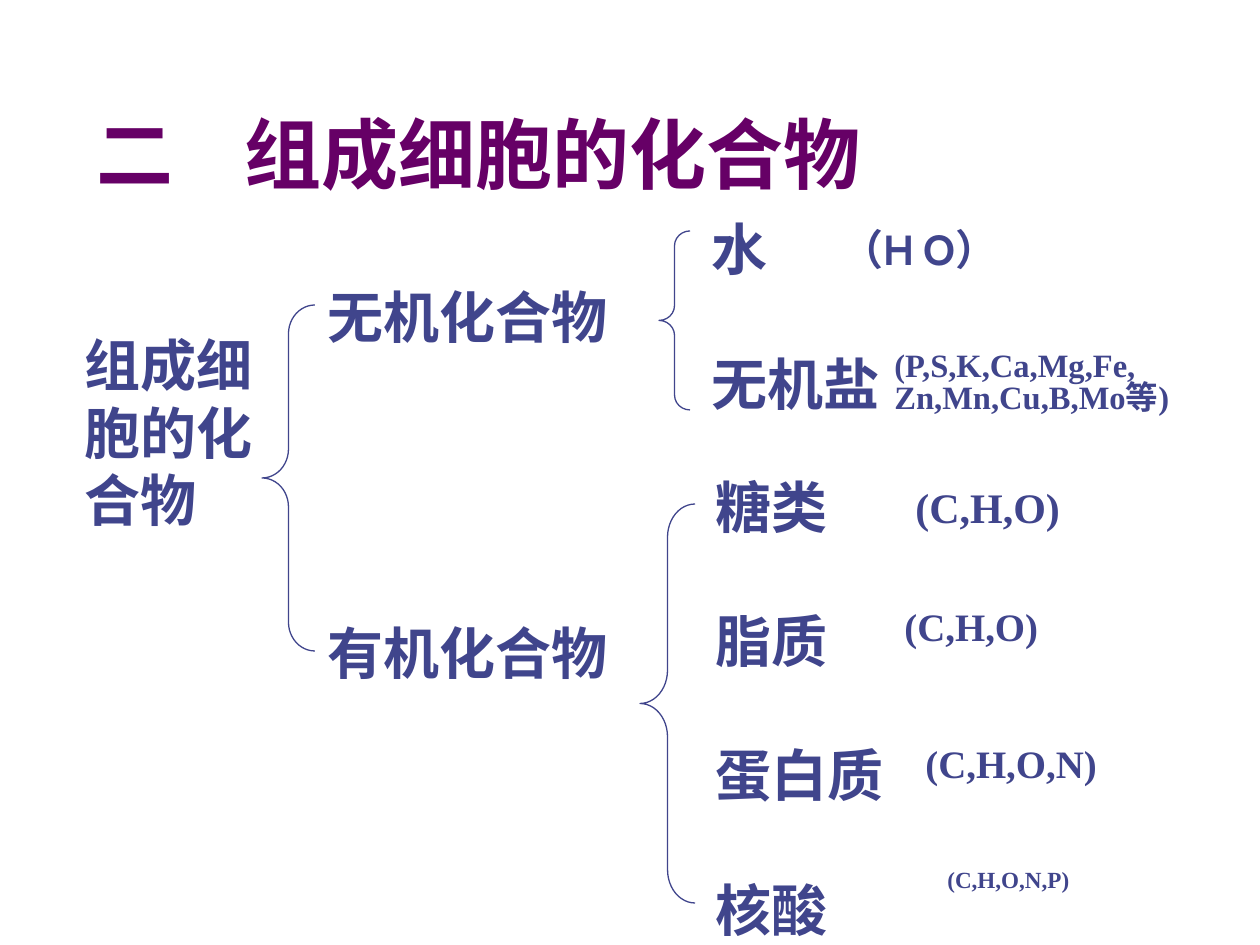
"""Builds a slide that classifies the compounds making up a cell."""
from pptx import Presentation
from pptx import util as u
from pptx.dml import color
from pptx.enum import shapes, text
from pptx.oxml import ns
from lxml import etree

PX = 914400 / 126
COLORS = {"title": "660066", "ink": "40458C", "paper": "FFFFFF"}
CJK, SANS, SERIF, HEAD = "Noto Sans CJK SC", "Arial", "Times New Roman", "Cabin"
LINE = 38.4

TITLE = ("二\t组成细胞的化合物", (84, 42, 1071, 157), 148)
# Each list: box, items, blank lines between items
LISTS = [
    ((72, 321, 212, 214), ["组成细胞的化合物"], 0),
    ((315, 273, 336, 416), ["无机化合物", "有机化合物"], 4),
    ((699, 205, 193, 214), ["水", "无机盐"], 1),
    ((703, 462, 194, 484), ["糖类", "脂质", "蛋白质", "核酸"], 1),
]
BRACES = [(262, 305, 53, 346), (659, 231, 31, 179), (640, 504, 55, 399)]
WATER = ((829, 214, 217, 63), [("（", CJK), ("H O", HEAD), ("）", CJK)])
SALTS = ((882, 346, 420, 95), ["(P,S,K,Ca,Mg,Fe,", "Zn,Mn,Cu,B,Mo等)"])
FORMULAS = [
    ((903, 472, 262, 73), "(C,H,O)", 24, 1.0),
    ((892, 598, 273, 63), "(C,H,O)", 22.2, 0.9),
    ((913, 735, 221, 63), "(C,H,O,N)", 22.2, 0.9),
    ((935, 861, 262, 42), "(C,H,O,N,P)", 13.2, 0.8),
]


def px(n):
    return u.Emu(round(n * PX))


def rgb(name):
    return color.RGBColor.from_string(COLORS[name])


def add_run(p, words, size, font, ink="ink"):
    r = p.add_run()
    r.text = words
    r.font.size, r.font.bold, r.font.name = u.Pt(size), True, font
    r.font.color.rgb = rgb(ink)
    etree.SubElement(r.font._element, ns.qn("a:ea"), typeface=CJK)


def set_frame(sp, wrap=True, top=10, bottom=6, anchor=text.MSO_ANCHOR.TOP):
    tf = sp.text_frame
    tf.auto_size, tf.word_wrap = text.MSO_AUTO_SIZE.NONE, wrap
    tf.vertical_anchor = anchor
    tf.margin_left = tf.margin_right = u.Inches(0.1)
    tf.margin_top, tf.margin_bottom = px(top), px(bottom)
    return tf


def add_lines(tf, lines, size, font, spacing, gap=0, align=text.PP_ALIGN.LEFT):
    for i, words in enumerate(lines):
        p = tf.add_paragraph() if i else tf.paragraphs[0]
        p.alignment, p.line_spacing = align, spacing
        p.space_before = u.Pt(gap if i else 0)
        add_run(p, words, size, font)


def add_box(s, box, **frame):
    return set_frame(s.shapes.add_textbox(*map(px, box)), **frame)


def add_title(s):
    words, box, stop = TITLE
    sp = s.shapes.title
    sp.left, sp.top, sp.width, sp.height = map(px, box)
    tf = set_frame(sp, top=6, bottom=0, anchor=text.MSO_ANCHOR.BOTTOM)
    p = tf.paragraphs[0]
    p.alignment = text.PP_ALIGN.LEFT
    tabs = etree.SubElement(p._p.get_or_add_pPr(), ns.qn("a:tabLst"))
    etree.SubElement(tabs, ns.qn("a:tab"), pos=str(px(stop)), algn="l")
    add_run(p, words, 44, HEAD, "title")


def add_brace(s, box):
    sp = s.shapes.add_shape(shapes.MSO_SHAPE.LEFT_BRACE, *map(px, box))
    sp.shadow.inherit = False
    sp.adjustments[0] = box[3] / 12 / box[2]
    sp.fill.background()
    sp.line.color.rgb, sp.line.width = rgb("ink"), u.Pt(0.75)


def add_formula(s, box, words, size, spacing):
    sp = s.shapes.add_shape(shapes.MSO_SHAPE.RECTANGLE, *map(px, box))
    sp.shadow.inherit = False
    sp.fill.solid()
    sp.fill.fore_color.rgb = rgb("paper")
    sp.line.fill.background()
    add_lines(set_frame(sp), [words], size, SERIF, spacing,
              align=text.PP_ALIGN.JUSTIFY)


def main():
    prs = Presentation()
    prs.slide_width, prs.slide_height = px(1260), px(945)
    s = prs.slides.add_slide(prs.slide_layouts[5])
    add_title(s)
    for box in BRACES:
        add_brace(s, box)
    for box, items, blanks in LISTS:
        add_lines(add_box(s, box), items, 32, SANS, u.Pt(LINE), blanks * LINE)

    box, runs = WATER
    p = add_box(s, box, wrap=False).paragraphs[0]
    p.line_spacing = u.Pt(28.8)
    for words, font in runs:
        add_run(p, words, 24, font)

    box, lines = SALTS
    add_lines(add_box(s, box, top=6), lines, 18.6, SERIF, u.Pt(18.3),
              align=text.PP_ALIGN.JUSTIFY)
    for formula in FORMULAS:
        add_formula(s, *formula)
    prs.save("out.pptx")


if __name__ == "__main__":
    main()
